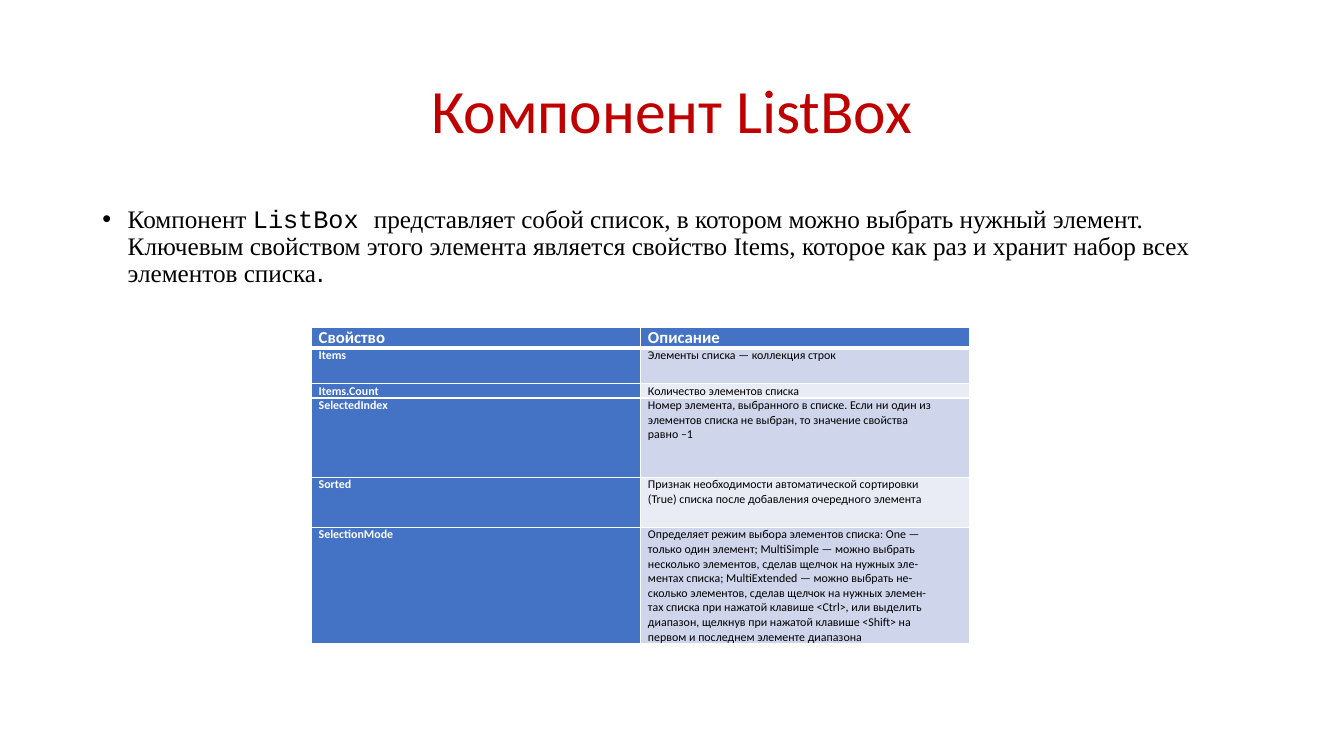
import lxml.etree
import pptx
import pptx.dml.color
import pptx.enum.text
import pptx.oxml.ns
import pptx.util
from pptx.dml.color import RGBColor
from pptx.util import Cm

RED = RGBColor(0xC0, 0x00, 0x00)
BLACK = RGBColor(0x00, 0x00, 0x00)
WHITE = RGBColor(0xFF, 0xFF, 0xFF)
BLUE = RGBColor(0x44, 0x72, 0xC4)
BAND_DARK = RGBColor(0xCF, 0xD5, 0xEA)
BAND_LIGHT = RGBColor(0xE9, 0xEB, 0xF5)

INTRO = [
    ("Компонент ", "Times New Roman"),
    ("ListBox ", "Courier New"),
    ("представляет собой список, в котором можно выбрать нужный элемент. "
     "Ключевым свойством этого элемента является свойство Items, которое "
     "как раз и хранит набор всех элементов списка", "Times New Roman"),
    (".", "DejaVu Sans"),
]

PROPERTIES = [
    (0.5, "Свойство", ["Описание"]),
    (0.9, "Items", ["Элементы списка — коллекция строк"]),
    (0.36, "Items.Count", ["Количество элементов списка"]),
    (2.0, "SelectedIndex", [
        "Номер элемента, выбранного в списке. Если ни один из",
        "элементов списка не выбран, то значение свойства",
        "равно –1"]),
    (1.26, "Sorted", [
        "Признак необходимости автоматической сортировки",
        "(True) списка после добавления очередного элемента"]),
    (2.94, "SelectionMode", [
        "Определяет режим выбора элементов списка: One —",
        "только один элемент; MultiSimple — можно выбрать",
        "несколько элементов, сделав щелчок на нужных эле-",
        "ментах списка; MultiExtended — можно выбрать не-",
        "сколько элементов, сделав щелчок на нужных элемен-",
        "тах списка при нажатой клавише <Ctrl>, или выделить",
        "диапазон, щелкнув при нажатой клавише <Shift> на",
        "первом и последнем элементе диапазона"]),
]


def add_child(parent, tag, **attributes):
    """Append a DrawingML element and return it."""
    return lxml.etree.SubElement(parent, pptx.oxml.ns.qn(tag), **attributes)


def add_run(p, text, font, size, color, bold=False):
    """Add one formatted run to a paragraph."""
    r = p.add_run()
    r.text = text
    r.font.name = font
    r.font.size = pptx.util.Pt(size)
    r.font.bold = bold
    r.font.color.rgb = color


def add_title(s, left, top, width, height):
    """Place and format the title placeholder."""
    sp = s.shapes.title
    sp.left, sp.top, sp.width, sp.height = left, top, width, height
    tf = sp.text_frame
    tf.auto_size = pptx.enum.text.MSO_AUTO_SIZE.NONE
    tf.vertical_anchor = pptx.enum.text.MSO_ANCHOR.MIDDLE
    p = tf.paragraphs[0]
    p.alignment = pptx.enum.text.PP_ALIGN.CENTER
    p.line_spacing = 0.9
    add_run(p, "Компонент ListBox", "Calibri", 44, RED)


def add_intro(s, left, top, width, height):
    """Place the bulleted introduction."""
    tf = s.shapes.add_textbox(left, top, width, height).text_frame
    tf.word_wrap = True
    p = tf.paragraphs[0]
    p.line_spacing = 0.9
    pPr = p._p.get_or_add_pPr()
    indent = Cm(0.64)
    pPr.set("marL", str(indent))
    pPr.set("indent", str(-indent))
    add_child(pPr, "a:buFont", typeface="Arial")
    add_child(pPr, "a:buChar", char="•")
    for text, font in INTRO:
        add_run(p, text, font, 18, BLACK)


def set_borders(cell, top_width, bottom_width):
    """Draw white borders round a table cell."""
    tcPr = cell._tc.get_or_add_tcPr()
    for side, points in (("L", 1), ("R", 1), ("T", top_width), ("B", bottom_width)):
        ln = add_child(tcPr, f"a:ln{side}", w=str(pptx.util.Pt(points)))
        add_child(add_child(ln, "a:solidFill"), "a:srgbClr", val=str(WHITE))


def fill_cell(cell, lines, size, color, bold, fill):
    """Write the lines of one cell and colour it."""
    cell.margin_left = cell.margin_right = Cm(0.19)
    cell.margin_top = cell.margin_bottom = 0
    cell.fill.solid()
    cell.fill.fore_color.rgb = fill
    tf = cell.text_frame
    for i, line in enumerate(lines):
        p = tf.paragraphs[0] if i == 0 else tf.add_paragraph()
        add_run(p, line, "Calibri", size, color, bold)


def add_properties(s, left, top, width):
    """Place the table of properties."""
    height = Cm(sum(row[0] for row in PROPERTIES))
    table = s.shapes.add_table(len(PROPERTIES), 2, left, top, width, height).table
    for col in table.columns:
        col.width = width // 2
    for i, (row_height, name, description) in enumerate(PROPERTIES):
        table.rows[i].height = Cm(row_height)
        header = i == 0
        size = 12 if header else 8.5
        band = BAND_DARK if i % 2 else BAND_LIGHT
        for j, lines in enumerate(([name], description)):
            cell = table.cell(i, j)
            strong = header or j == 0
            set_borders(cell, 3 if i == 1 else 1, 3 if header else 1)
            fill_cell(cell, lines, size, WHITE if strong else BLACK, strong,
                      BLUE if strong else band)


def main():
    """Build and save the presentation."""
    prs = pptx.Presentation()
    prs.slide_width, prs.slide_height = Cm(33.87), Cm(19.05)
    s = prs.slides.add_slide(prs.slide_layouts[5])
    left, width = Cm(2.33), Cm(29.21)
    add_title(s, left, Cm(1.01), width, Cm(3.68))
    add_intro(s, left, Cm(5.08), width, Cm(12.1))
    add_properties(s, Cm(7.84), Cm(8.26), Cm(16.6))
    prs.save("out.pptx")


if __name__ == "__main__":
    main()
